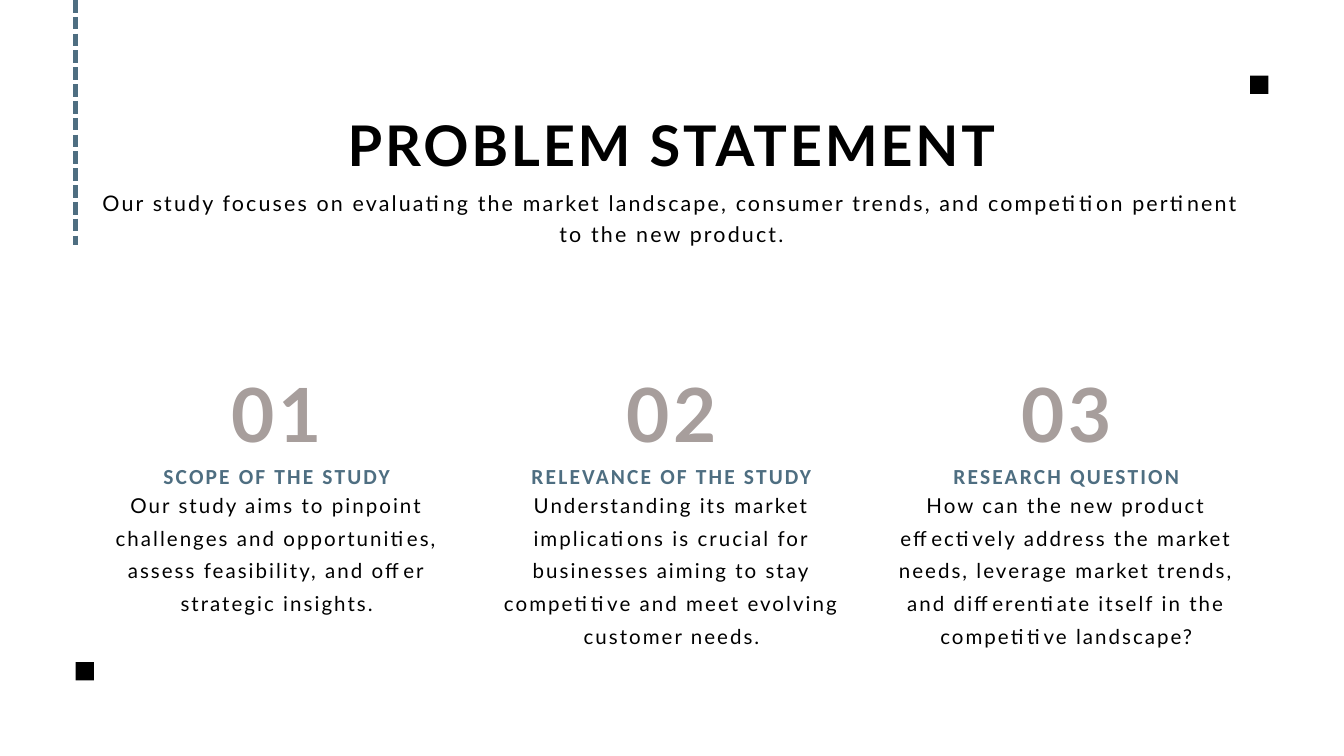
from lxml.etree import SubElement
from pptx import Presentation
from pptx.dml.color import RGBColor
from pptx.enum.dml import MSO_LINE
from pptx.enum.shapes import MSO_CONNECTOR, MSO_SHAPE
from pptx.enum.text import MSO_AUTO_SIZE, PP_ALIGN
from pptx.oxml.ns import qn
from pptx.util import Pt

PX = 9525
COLORS = {"ink": "000000", "number": "A79E9C", "accent": "4E6E81"}
LEFT, COLUMN_WIDTH, COLUMN_PITCH = 145, 501, 564
FULL_WIDTH = 2 * COLUMN_PITCH + COLUMN_WIDTH

TOPICS = [
    ("SCOPE OF THE STUDY",
     "Our study aims to pinpoint challenges and opportunities, assess "
     "feasibility, and offer strategic insights.", 182),
    ("RELEVANCE OF THE STUDY",
     "Understanding its market implications is crucial for businesses aiming "
     "to stay competitive and meet evolving customer needs.", 228),
    ("RESEARCH QUESTION",
     "How can the new product effectively address the market needs, leverage "
     "market trends, and differentiate itself in the competitive landscape?", 228),
]


def px(length):
    return length * PX


def rgb(name):
    return RGBColor.from_string(COLORS[name])


def add_text(slide, words, left, top, width, height, size, leading, spacing,
             color="ink", face="Lato", bold=False):
    box = slide.shapes.add_textbox(px(left), px(top), px(width), px(height))
    frame = box.text_frame
    frame.margin_left = frame.margin_right = 0
    frame.margin_top = frame.margin_bottom = 0
    frame.word_wrap = True
    frame.auto_size = MSO_AUTO_SIZE.SHAPE_TO_FIT_TEXT
    paragraph = frame.paragraphs[0]
    paragraph.alignment = PP_ALIGN.CENTER
    paragraph.line_spacing = Pt(leading)
    paragraph.font.size = Pt(size)
    paragraph.font.name = face
    paragraph.font.bold = bold
    paragraph.font.color.rgb = rgb(color)
    run = paragraph.add_run()
    run.text = words
    run._r.get_or_add_rPr().set("spc", str(round(spacing * 100)))


def add_topic(slide, index, heading, body, body_height):
    left = LEFT + index * COLUMN_PITCH
    add_text(slide, f"{index + 1:02}", left, 504, COLUMN_WIDTH, 149,
             80, 112, 4, color="number", bold=True)
    add_text(slide, heading, left, 655, COLUMN_WIDTH, 41,
             23, 32.2, 2.3, color="accent", face="Calibri", bold=True)
    add_text(slide, body, left, 692, COLUMN_WIDTH, body_height, 22, 35.2, 2.2)


def add_square(slide, left, top):
    square = slide.shapes.add_shape(MSO_SHAPE.RECTANGLE, px(left), px(top), px(26), px(26))
    square.shadow.inherit = False
    square.fill.solid()
    square.fill.fore_color.rgb = rgb("ink")
    square.line.fill.background()


def add_dashed_line(slide, x, bottom):
    dashes = slide.shapes.add_connector(MSO_CONNECTOR.STRAIGHT, px(x), 0, px(x), px(bottom))
    dashes.line.color.rgb = rgb("accent")
    dashes.line.width = Pt(4.5)
    dashes.line.dash_style = MSO_LINE.SQUARE_DOT
    SubElement(dashes._element.spPr, qn("a:effectLst"))


def main():
    deck = Presentation()
    deck.slide_width, deck.slide_height = px(1920), px(1080)
    slide = deck.slides.add_slide(deck.slide_layouts[6])

    add_text(slide, "PROBLEM STATEMENT", LEFT, 142, FULL_WIDTH, 113, 60, 84, 3, bold=True)
    add_text(slide,
             "Our study focuses on evaluating the market landscape, consumer trends, "
             "and competition pertinent to the new product.",
             LEFT, 266, FULL_WIDTH, 84, 23, 32.2, 2.3)
    for index, (heading, body, body_height) in enumerate(TOPICS):
        add_topic(slide, index, heading, body, body_height)

    add_square(slide, 108, 946)
    add_square(slide, 1786, 108)
    add_dashed_line(slide, 108, 350)
    deck.save("out.pptx")


if __name__ == "__main__":
    main()
